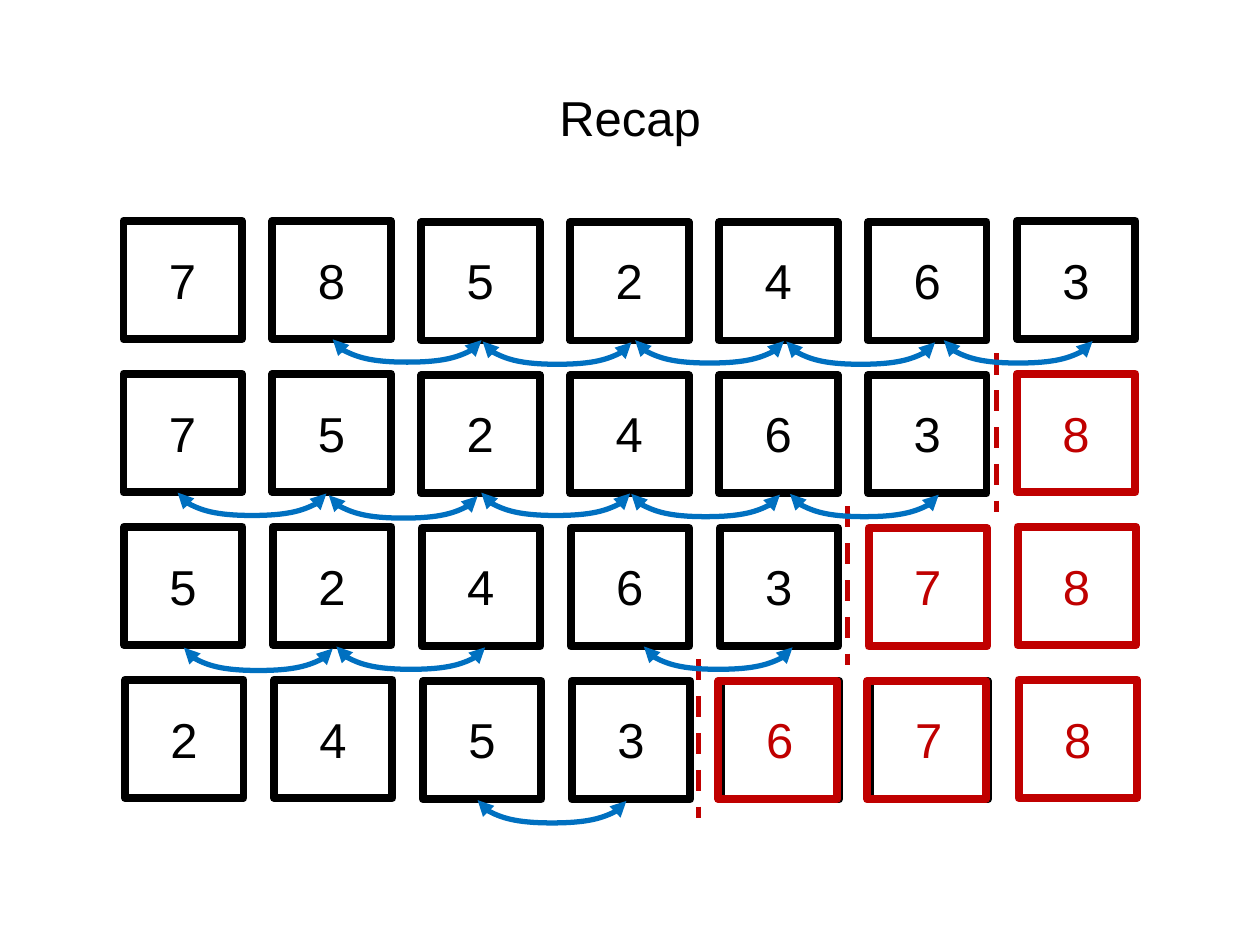
import lxml.etree
import pptx
import pptx.dml.color
import pptx.enum.dml
import pptx.enum.shapes
import pptx.enum.text
import pptx.oxml.ns
import pptx.util

Pt = pptx.util.Pt
qn = pptx.oxml.ns.qn
BLACK = pptx.dml.color.RGBColor(0x00, 0x00, 0x00)
RED = pptx.dml.color.RGBColor(0xC0, 0x00, 0x00)
BLUE = pptx.dml.color.RGBColor(0x00, 0x70, 0xC0)

CELL, PITCH, ROW_PITCH = 67.7, 85.1, 87.4
LEFT, TOP = 70.6, 126.2
SPAN, DROP, RISE = 85, 13, 0.48
FONT = {"name": "Arial", "size": Pt(28)}

PASSES = [
    {"digits": "7852463", "sorted": 0, "overlaid": [],
     "swaps": [(119.5, 67.7), (205.2, 68.9), (292.3, 68.2), (378.7, 68.9), (468.7, 68.2)]},
    {"digits": "7524638", "sorted": 1, "overlaid": [],
     "swaps": [(30.9, 67.9), (117.3, 69.4), (204.4, 67.9), (290.1, 68.6), (380.8, 68.6)]},
    {"digits": "5246378", "sorted": 2, "overlaid": [],
     "swaps": [(34.5, 69.1), (121.6, 68.4), (297.3, 68.4)]},
    {"digits": "2453678", "sorted": 3, "overlaid": [4, 5],
     "swaps": [(202.3, 68.8)]},
]


def set_font(font, color):
    """Apply the slide's text format in the given colour."""
    for key, value in FONT.items():
        setattr(font, key, value)
    font.color.rgb = color


def add_title(slide, text, x, y, w, h):
    """Place and format the title placeholder."""
    sp = slide.shapes.title
    for key, value in {"left": x, "top": y, "width": w, "height": h}.items():
        setattr(sp, key, Pt(value))
    tf = sp.text_frame
    tf.vertical_anchor = pptx.enum.text.MSO_ANCHOR.MIDDLE
    p = tf.paragraphs[0]
    p.alignment = pptx.enum.text.PP_ALIGN.CENTER
    r = p.add_run()
    r.text = text
    set_font(r.font, BLACK)


def add_cell(shapes, x, y, color):
    """Draw one hollow array cell."""
    sp = shapes.add_shape(pptx.enum.shapes.MSO_SHAPE.RECTANGLE,
                          Pt(x), Pt(y), Pt(CELL), Pt(CELL))
    sp.shadow.inherit = False
    sp.fill.background()
    sp.line.color.rgb = color
    sp.line.width = Pt(4.5)


def add_digit(shapes, text, x, y, color):
    """Write one digit in the middle of the cell at x, y."""
    w, h = 30, 41.2
    sp = shapes.add_textbox(Pt(x + (CELL - w) / 2), Pt(y + (CELL - h) / 2), Pt(w), Pt(h))
    tf = sp.text_frame
    tf.word_wrap = False
    tf.auto_size = pptx.enum.text.MSO_AUTO_SIZE.SHAPE_TO_FIT_TEXT
    r = tf.paragraphs[0].add_run()
    r.text = text
    set_font(r.font, color)


def add_array(slide, step, x, y):
    """Draw one pass as a group of cells, with the sorted tail in red."""
    shapes = slide.shapes.add_group_shape().shapes
    first_sorted = len(step["digits"]) - step["sorted"]
    columns = [(x + i * PITCH, y + (0.7 if 2 <= i <= 5 else 0), RED if i >= first_sorted else BLACK)
               for i in range(len(step["digits"]))]
    for i, (cx, cy, color) in enumerate(columns):
        add_cell(shapes, cx, cy, BLACK if i in step["overlaid"] else color)
    for i in step["overlaid"]:
        add_cell(shapes, columns[i][0] - 1.4, columns[i][1], RED)
    for digit, (cx, cy, color) in zip(step["digits"], columns):
        add_digit(shapes, digit, cx, y, color)


def add_line(slide, kind, x1, y1, x2, y2, color):
    """Draw a 3 pt connector without a shadow and return it."""
    cn = slide.shapes.add_connector(kind, Pt(x1), Pt(y1), Pt(x2), Pt(y2))
    cn.line.color.rgb = color
    cn.line.width = Pt(3)
    lxml.etree.SubElement(cn._element.spPr, qn("a:effectLst"))
    return cn


def add_divider(slide, x, y):
    """Draw the dashed border between unsorted and sorted cells."""
    cn = add_line(slide, pptx.enum.shapes.MSO_CONNECTOR.STRAIGHT, x, y, x, y + 90.7, RED)
    cn.line.dash_style = pptx.enum.dml.MSO_LINE.DASH


def add_swap(slide, x, y):
    """Draw a double-headed curve that sags below two neighbouring cells."""
    mx, my = x + SPAN / 2, y + RISE / 2
    cn = add_line(slide, pptx.enum.shapes.MSO_CONNECTOR.CURVE,
                  mx - RISE / 2, my - SPAN / 2, mx + RISE / 2, my + SPAN / 2, BLUE)
    sp_pr = cn._element.spPr
    xfrm = sp_pr.find(qn("a:xfrm"))
    xfrm.set("rot", "16200000")
    xfrm.set("flipH", "1")
    guides = sp_pr.find(qn("a:prstGeom")).find(qn("a:avLst"))
    lxml.etree.SubElement(guides, qn("a:gd"), name="adj1", fmla=f"val {round(DROP / RISE * 100000)}")
    for end in ("a:headEnd", "a:tailEnd"):
        lxml.etree.SubElement(sp_pr.find(qn("a:ln")), qn(end), type="triangle")


def main():
    """Build the slide and save it."""
    prs = pptx.Presentation()
    prs.slide_width, prs.slide_height = Pt(720), Pt(540)
    slide = prs.slides.add_slide(prs.slide_layouts[5])
    add_title(slide, "Recap", 36, 21.6, 648, 90)
    tops = [TOP + i * ROW_PITCH for i in range(len(PASSES))]
    lefts = [LEFT, LEFT, LEFT + 0.3, LEFT + 0.9]
    for step, x, y in zip(PASSES, lefts, tops):
        add_array(slide, step, x, y)
    for step, y in zip(PASSES, tops):
        if step["sorted"]:
            add_divider(slide, LEFT + (len(step["digits"]) - step["sorted"]) * PITCH - 11.7, y - 11.6)
    for step, y in zip(PASSES, tops):
        for dx, dy in step["swaps"]:
            add_swap(slide, LEFT + dx, y + dy)
    prs.save("out.pptx")


if __name__ == "__main__":
    main()
